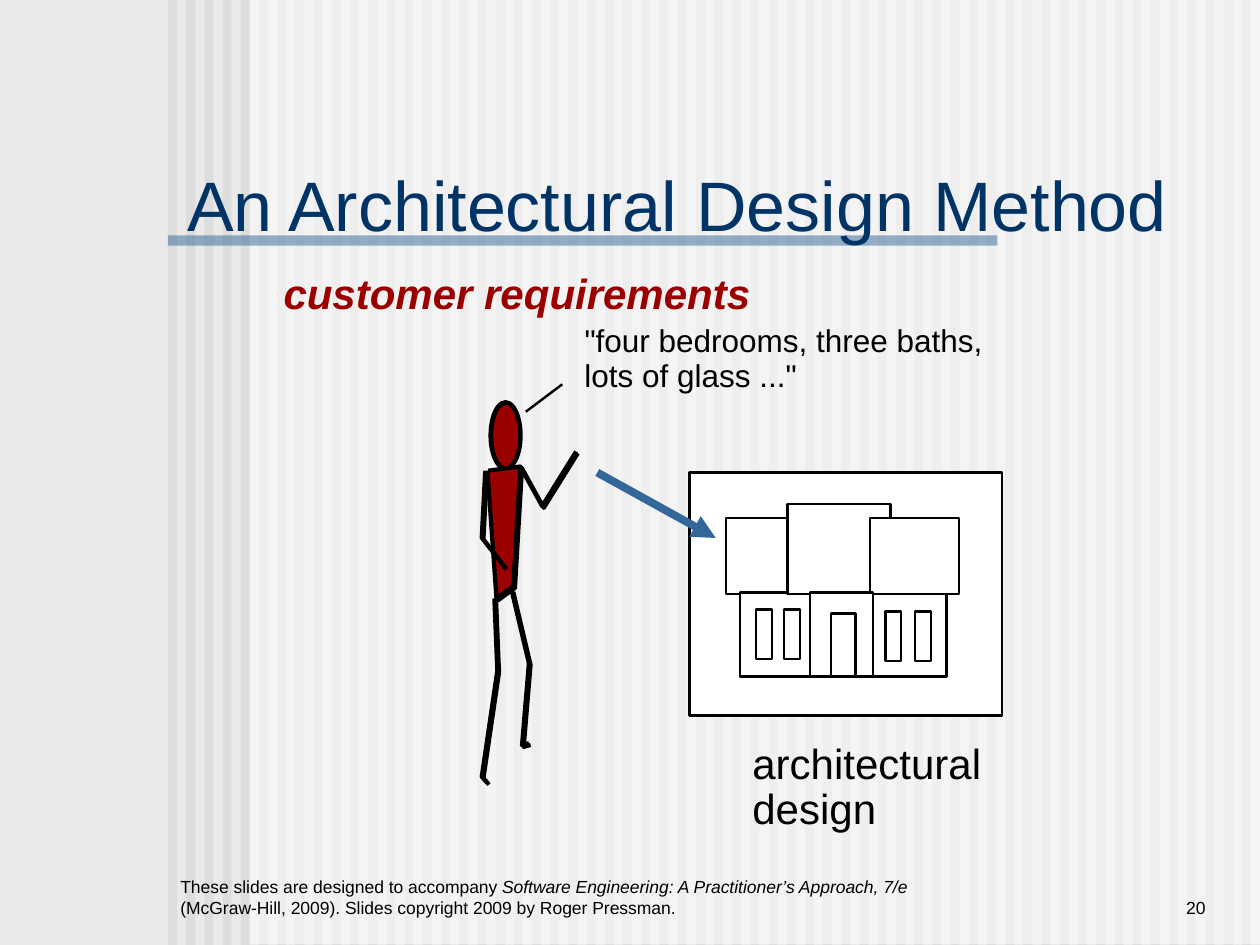
from lxml import etree
from pptx import Presentation
from pptx import util as u
from pptx.dml.color import RGBColor
from pptx.enum import shapes, text
from pptx.oxml.ns import qn

Pt = u.Pt
theme = dict(
    face="Arial",
    ink="000000", paper="FFFFFF", back="EAEAEA", stripe="DDDDDD",
    navy="003366", blue="336699", red="9A0000",
    title=40, label=24, quote=18, foot=10,
    limb=2.38, thin=1.39, arrow=4.5,
)


def paint(shape, fill=None, line=None, width=0.75, alpha=None):
    """Set fill and outline by theme colour name; alpha is percent opacity."""
    shape.shadow.inherit = False
    if fill:
        shape.fill.solid()
        shape.fill.fore_color.rgb = RGBColor.from_string(theme[fill])
    else:
        shape.fill.background()
    if alpha:
        tint = shape.element.spPr.find(".//" + qn("a:srgbClr"))
        etree.SubElement(tint, qn("a:alpha"), val=str(alpha * 1000))
    if line:
        shape.line.color.rgb = RGBColor.from_string(theme[line])
        shape.line.width = Pt(width)
    else:
        shape.line.fill.background()


def write(shape, runs, size, color="ink", inset=(0, 0), wrap=False,
          anchor=text.MSO_ANCHOR.TOP, align=text.PP_ALIGN.LEFT, spacing=None):
    """Fill a text frame with one paragraph of (words, font values) runs."""
    frame = shape.text_frame
    side, edge = inset
    form = dict(margin_left=Pt(side), margin_right=Pt(side), margin_top=Pt(edge),
                margin_bottom=Pt(edge), word_wrap=wrap, vertical_anchor=anchor)
    for key, val in form.items():
        setattr(frame, key, val)
    para = frame.paragraphs[0]
    para.alignment = align
    para.line_spacing = spacing
    for words, style in runs:
        run = para.add_run()
        run.text = words
        run.font.color.rgb = RGBColor.from_string(theme[color])
        for key, val in dict(name=theme["face"], size=Pt(theme[size]), **style).items():
            setattr(run.font, key, val)


deck = Presentation()
deck.slide_width, deck.slide_height = Pt(720), Pt(540)
slide = deck.slides.add_slide(deck.slide_layouts[5])
slide.background.fill.solid()
slide.background.fill.fore_color.rgb = RGBColor.from_string(theme["back"])
items = slide.shapes
RECT = shapes.MSO_SHAPE.RECTANGLE
OVAL = shapes.MSO_SHAPE.OVAL

# Striped backdrop, veil and title rule
group = items.add_group_shape()
for i in range(60):
    bar = group.shapes.add_shape(RECT, Pt(96 + 10.4 * i), 0, Pt(5.2), Pt(540))
    paint(bar, "stripe")
for box, fill in (((142.5, -0.5, 577.5, 540), "paper"), ((96, 134.5, 474, 5.8), "blue")):
    paint(group.shapes.add_shape(RECT, *map(Pt, box)), fill, alpha=50)

# Footer and page number
foot = dict(size="foot", inset=(7.2, 3.6), wrap=True, anchor=text.MSO_ANCHOR.BOTTOM)
note = items.add_textbox(Pt(96), Pt(492), Pt(432), Pt(36))
write(note, [
    ("These slides are designed to accompany ", {}),
    ("Software Engineering: A Practitioner’s Approach, 7/e ", {"italic": True}),
    ("(McGraw-Hill, 2009). Slides copyright 2009 by Roger Pressman.", {}),
], **foot)
page = items.add_textbox(Pt(594), Pt(492), Pt(102), Pt(36))
write(page, [("20", {})], align=text.PP_ALIGN.RIGHT, **foot)

# Title, raised above the backdrop
title = items.title
title.left, title.top, title.width, title.height = map(Pt, (102, 90, 572.5, 52))
write(title, [("An Architectural Design Method", {})], "title", "navy",
      inset=(5, 2.4), wrap=True)
items.element.append(title.element)

# Labels
bold = {"bold": True, "italic": True}
labels = [
    ((334, 186, 227.5, 19.5), "\"four bedrooms, three baths,", "quote", "ink", {}),
    ((334, 206, 121.5, 19.5), "lots of glass ...\"", "quote", "ink", {}),
    ((162, 156, 267, 26), "customer requirements", "label", "red", bold),
    ((430, 424.5, 208, 26), "architectural design", "label", "ink", {}),
]
for box, words, size, color, style in labels:
    label = items.add_textbox(*map(Pt, box))
    write(label, [(words, style)], size, color, spacing=0.9)

# Customer: head, then body and limbs, each stroked twice one point apart
paint(items.add_shape(OVAL, *map(Pt, (281.5, 231, 15, 36))), "red", "ink")
paint(items.add_shape(OVAL, *map(Pt, (280.3, 229.8, 17.2, 38))), None, "ink", theme["limb"])
figure = [
    ("red", [(279, 269), (297.3, 266.6), (293.3, 335), (283.7, 342), (278.5, 269)]),
    (None, [(297.3, 266.6), (309.8, 289.2), (329.2, 258)]),
    (None, [(277.3, 269), (275.3, 307.2), (288.5, 324.3)]),
    (None, [(292.3, 337.2), (302.2, 379), (298.3, 425.8), (302.2, 424.7)]),
    (None, [(282.5, 342), (284.2, 383.3), (275.3, 443.8), (278.5, 447.4)]),
]
for fill, points in figure:
    for shift, tone in ((1, None), (0, fill)):
        dots = [(Pt(x + shift), Pt(y + shift)) for x, y in points]
        pen = items.build_freeform(*dots[0])
        pen.add_line_segments(dots[1:], close=False)
        paint(pen.convert_to_shape(), tone, "ink", theme["limb"])

# Drawing sheet and house, back to front
house = [
    (394, 270, 178.5, 139),
    (415, 296, 36, 43.5), (422.8, 338.5, 118, 48),
    (450, 288, 59, 51.5), (497, 296, 51, 43.5),
    (462.8, 338.5, 36, 48),
    (432, 348.3, 9.2, 28.3), (448, 348.3, 9.2, 28.3),
    (475, 350.6, 14, 35.8),
    (506, 349.4, 9, 28.3), (523, 349.4, 9, 28.3),
]
for box in house:
    paint(items.add_shape(RECT, *map(Pt, box)), "paper", "ink", theme["thin"])

# Speech line and arrow
for ends, color, width, head in (
    ((300.5, 235.3, 321.3, 219.6), "ink", "thin", False),
    ((341.3, 270, 409, 307.4), "blue", "arrow", True),
):
    line = items.add_connector(shapes.MSO_CONNECTOR.STRAIGHT, *map(Pt, ends))
    line.line.color.rgb = RGBColor.from_string(theme[color])
    line.line.width = Pt(theme[width])
    if head:
        etree.SubElement(line.line._get_or_add_ln(), qn("a:tailEnd"), type="triangle")
    etree.SubElement(line.element.spPr, qn("a:effectLst"))

deck.save("out.pptx")
